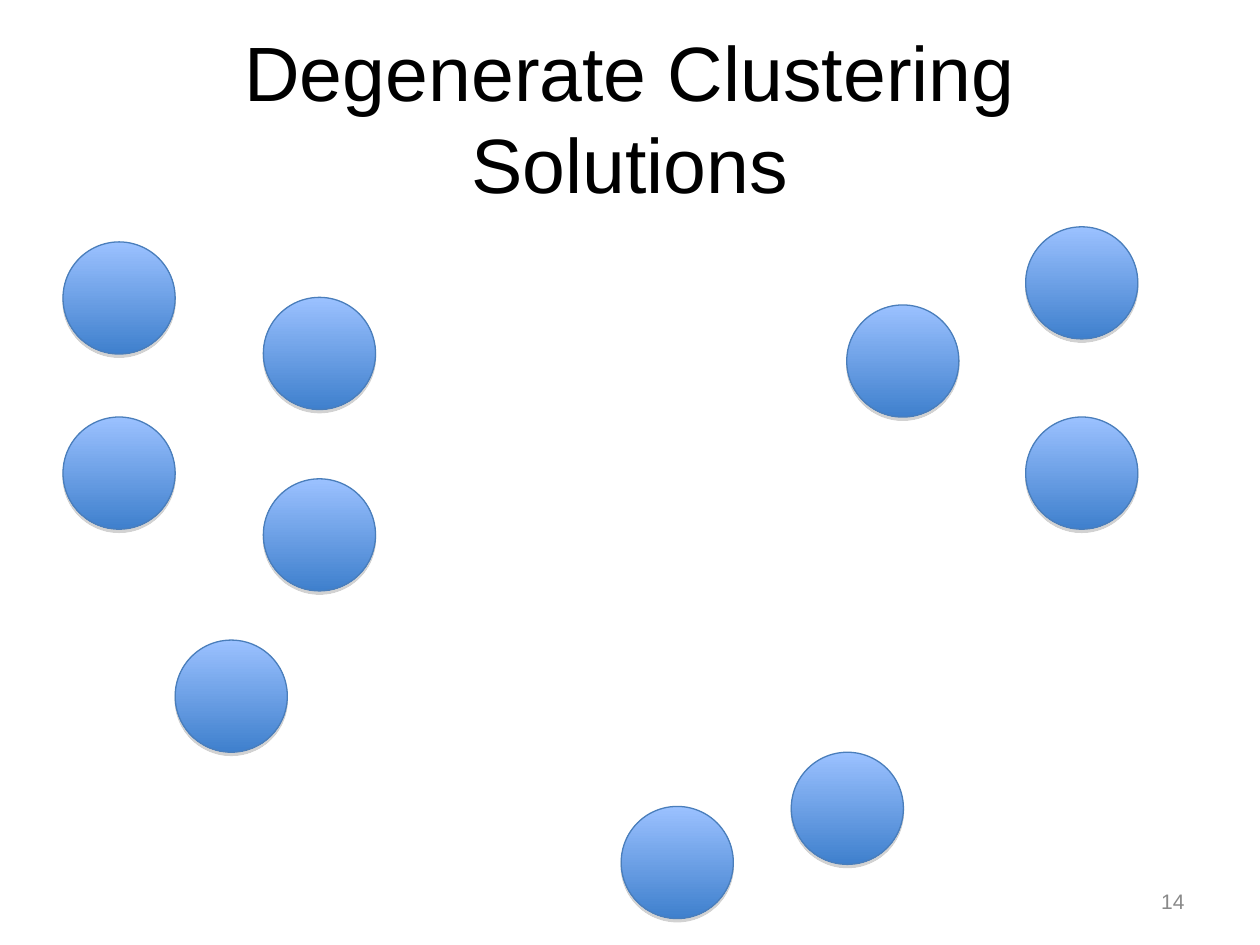
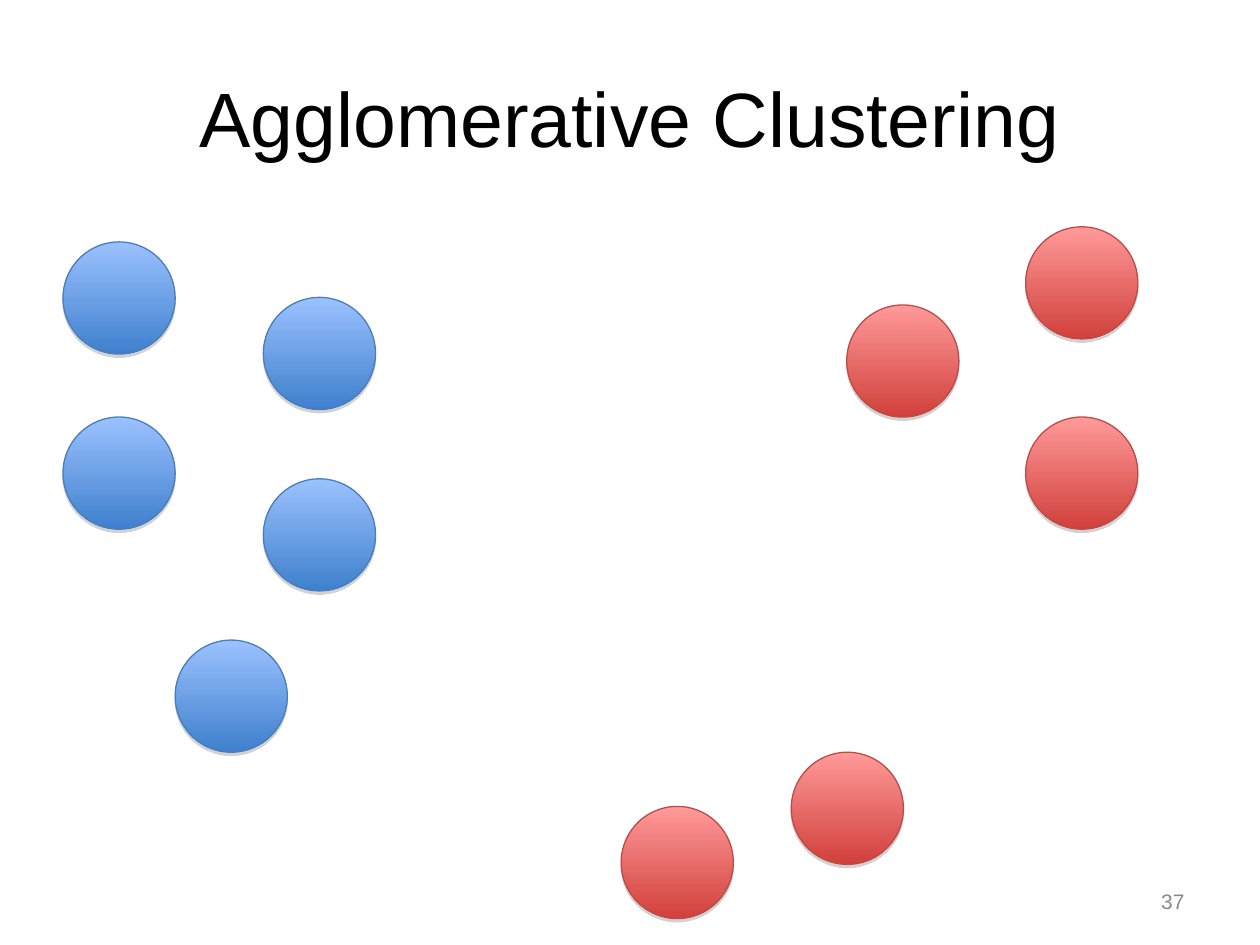
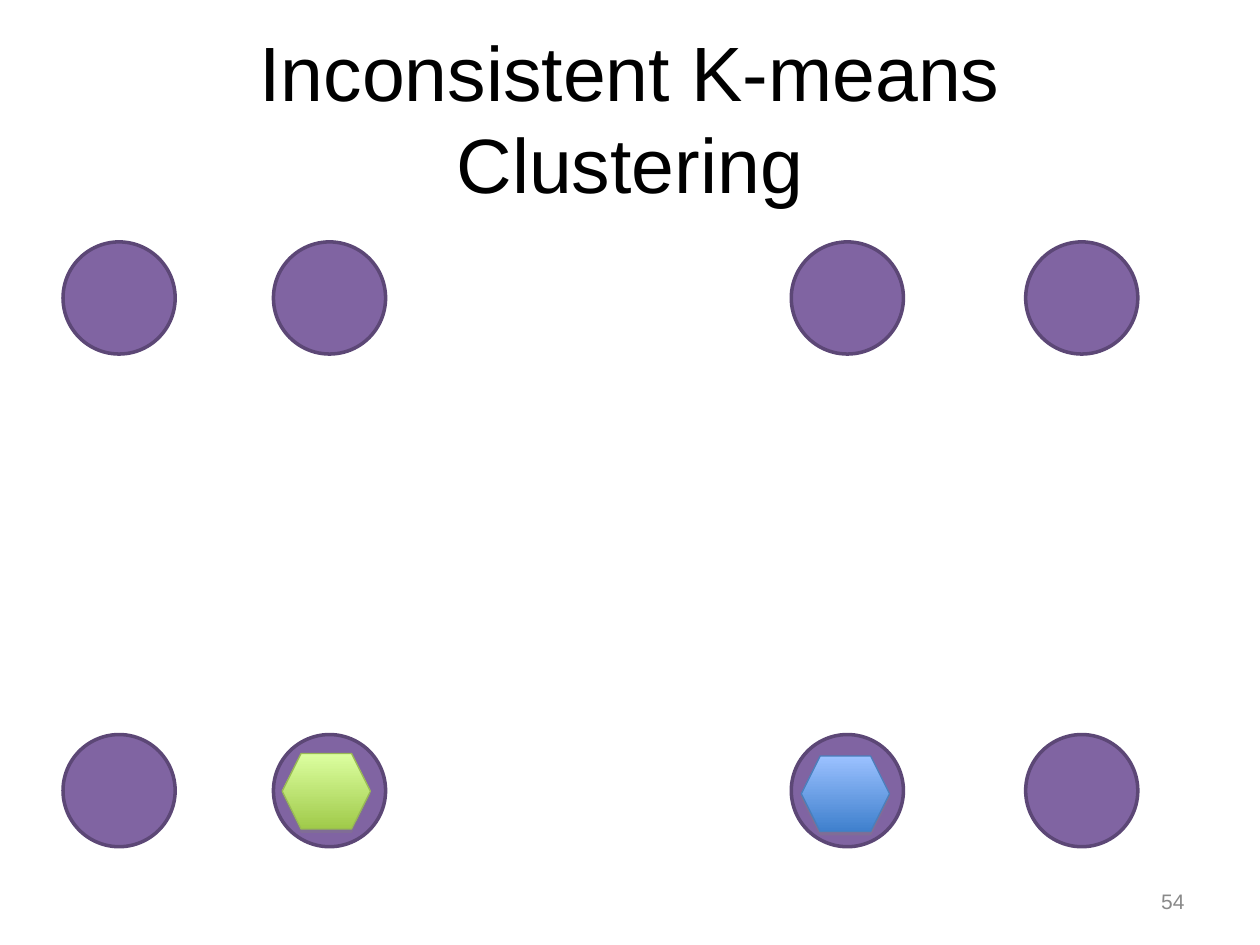
from lxml.etree import SubElement as Sub
from pptx import Presentation
from pptx.dml.color import RGBColor
from pptx.enum.shapes import MSO_SHAPE as Shape
from pptx.enum.text import MSO_ANCHOR as Anchor, PP_ALIGN as Align
from pptx.oxml.ns import qn
from pptx.util import Inches, Pt

BLUE = ("9BC1FF", "3F80CD", "4A7EBB")
RED = ("FF9A99", "D1403C", "BE4B48")
GREEN = ("DCFFA0", "A0CA4A", "98B954")
PURPLE = ("8064A2", "5C4776")
DOT = 0.89
LEFT = [(0.5, 1.92), (0.5, 3.31), (2.09, 2.36), (1.39, 5.08), (2.09, 3.8)]
RIGHT = [(8.14, 1.8), (6.72, 2.42), (8.14, 3.31), (6.28, 5.97), (4.93, 6.4)]


def color(code):
    """Turn a hex string into a colour."""
    return RGBColor.from_string(code)


class Deck:
    """Hold the shared style and the current slide."""

    font = "Arial"

    def __init__(self):
        """Start an empty deck of 10 by 7.5 inches."""
        self.prs = Presentation()
        self.prs.slide_width, self.prs.slide_height = Inches(10), Inches(7.5)
        self.slide = None

    def page(self, title, number):
        """Add a slide with its title and number."""
        self.slide = self.prs.slides.add_slide(self.prs.slide_layouts[6])
        self.text(title, (0.5, 0.3, 9, 1.25), 44, "000000", Align.CENTER, 0.15)
        self.text(str(number), (7.17, 6.95, 2.33, 0.4), 12, "898989", Align.RIGHT, 0.1)

    def text(self, words, area, size, tint, align, pad):
        """Add a text box with one run."""
        frame = self.slide.shapes.add_textbox(*map(Inches, area)).text_frame
        frame.word_wrap = True
        frame.vertical_anchor = Anchor.MIDDLE
        frame.margin_left = frame.margin_right = Inches(pad)
        para = frame.paragraphs[0]
        para.alignment = align
        run = para.add_run()
        run.text = words
        run.font.name, run.font.size = self.font, Pt(size)
        run.font.color.rgb = color(tint)

    def shape(self, kind, area, edge, width):
        """Add a preset shape with an outline and no shadow."""
        item = self.slide.shapes.add_shape(kind, *map(Inches, area))
        item.shadow.inherit = False
        item.line.color.rgb = color(edge)
        item.line.width = Pt(width)
        return item

    def glossy(self, kind, area, tints):
        """Add a shape with a downward gradient and a soft shadow."""
        *stops, edge = tints
        item = self.shape(kind, area, edge, 0.75)
        item.fill.gradient()
        item.fill.gradient_angle = 270
        for stop, tint in zip(item.fill.gradient_stops, stops):
            stop.color.rgb = color(tint)
        effects = item._element.spPr.find(qn("a:effectLst"))
        shade = Sub(effects, qn("a:outerShdw"), blurRad="0", dist=str(Pt(1.8)),
                    dir="5400000", rotWithShape="0")
        tone = Sub(shade, qn("a:srgbClr"), val="808080")
        Sub(tone, qn("a:alpha"), val="35000")
        return item

    def dots(self, spots, tints):
        """Add one glossy dot at each spot."""
        for left, top in spots:
            self.glossy(Shape.OVAL, (left, top, DOT, DOT), tints)

    def flat(self, left, top):
        """Add a plain purple dot."""
        fill, edge = PURPLE
        item = self.shape(Shape.OVAL, (left, top, DOT, DOT), edge, 2)
        item.fill.solid()
        item.fill.fore_color.rgb = color(fill)

    def center(self, left, top, tints):
        """Add a hexagon that marks a cluster center."""
        item = self.glossy(Shape.HEXAGON, (left, top, 0.7, 0.6), tints)
        item.adjustments[0] = 0.25


def main():
    """Build the slides and save them."""
    deck = Deck()
    deck.page("Degenerate Clustering Solutions", 14)
    deck.dots(LEFT + RIGHT, BLUE)

    deck.page("Agglomerative Clustering", 37)
    deck.dots(LEFT, BLUE)
    deck.dots(RIGHT, RED)

    deck.page("Inconsistent K-means Clustering", 54)
    for top in (1.92, 5.83):
        for left in (0.5, 2.17, 6.28, 8.14):
            deck.flat(left, top)
    deck.center(2.24, 5.98, GREEN)
    deck.center(6.36, 6, BLUE)
    deck.prs.save("out.pptx")


if __name__ == "__main__":
    main()
